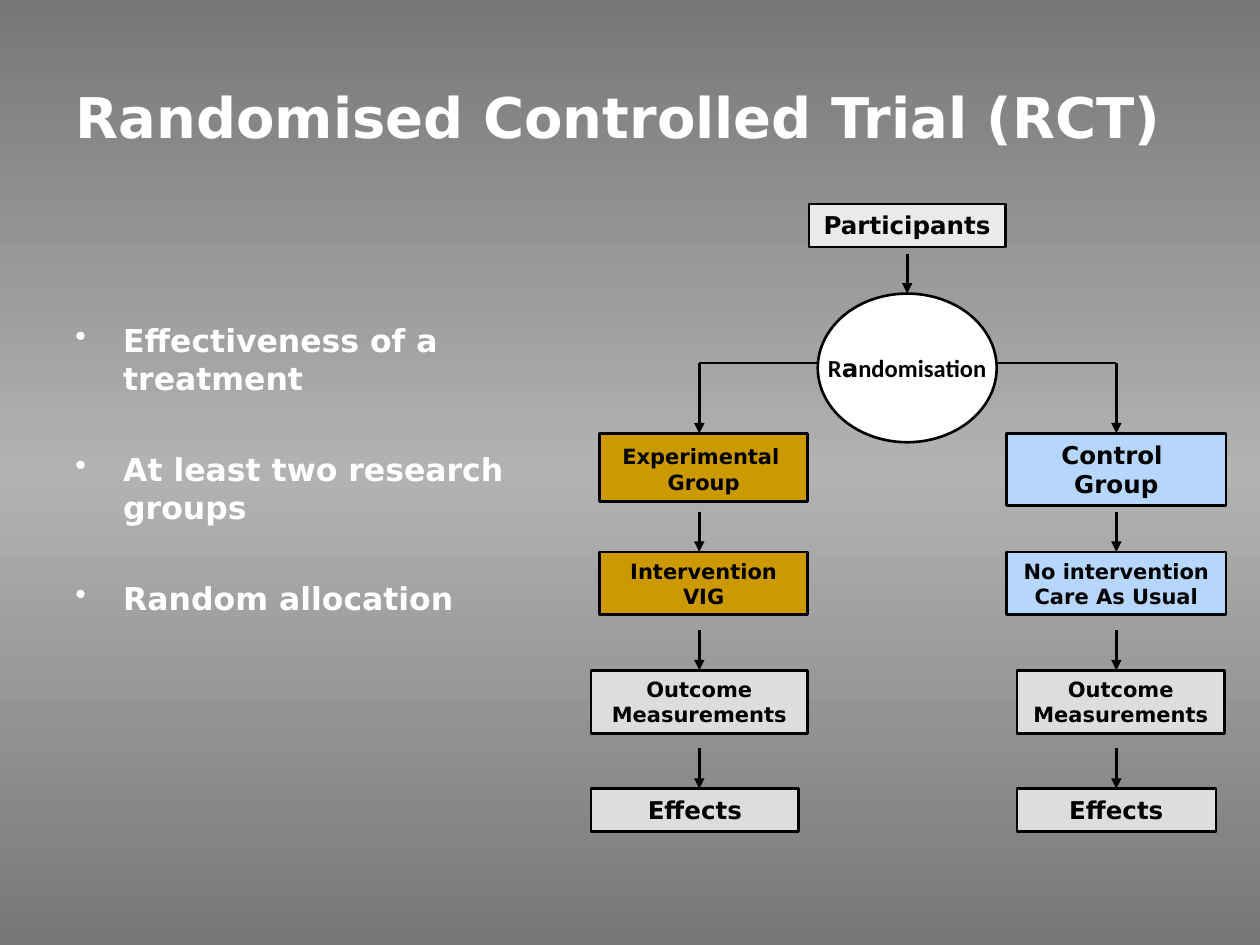
import dataclasses
from typing import Optional

import lxml.etree
import copy
import pptx
import pptx.dml.color
import pptx.enum.shapes
import pptx.enum.text
import pptx.oxml.ns
import pptx.util

Inches, Pt = pptx.util.Inches, pptx.util.Pt
SHAPE = pptx.enum.shapes.MSO_SHAPE
ALIGN = pptx.enum.text.PP_ALIGN
ANCHOR = pptx.enum.text.MSO_ANCHOR
qn = pptx.oxml.ns.qn

FONT = "DejaVu Sans"
BLACK, WHITE = "000000", "FFFFFF"
GOLD, BLUE, GREY = "CC9900", "B6D6FC", "DDDDDD"
LEFT_X, MID_X, RIGHT_X = 5.55, 7.2, 8.86  # arrow lanes
TOP, STEP = 3.44, 0.94  # rows of the two arms
ARROW = 0.32
BAR_Y = 2.88


@dataclasses.dataclass
class Box:
    text: str
    x: float
    w: float
    h: float
    fill: str
    size: int


def rgb(value: str) -> pptx.dml.color.RGBColor:
    return pptx.dml.color.RGBColor.from_string(value)


def style_run(r, size: int, color: str, font: str = FONT) -> None:
    r.font.size = Pt(size)
    r.font.name = font
    r.font.bold = True
    r.font.color.rgb = rgb(color)


def add_node(s, kind, x: float, y: float, w: float, h: float, fill: str):
    sp = s.shapes.add_shape(kind, Inches(x), Inches(y), Inches(w), Inches(h))
    sp.shadow.inherit = False
    sp.fill.solid()
    sp.fill.fore_color.rgb = rgb(fill)
    sp.line.color.rgb = rgb(BLACK)
    sp.line.width = Pt(1.5)
    return sp


def add_box(s, box: Box, y: float):
    sp = add_node(s, SHAPE.RECTANGLE, box.x, y, box.w, box.h, box.fill)
    tf = sp.text_frame
    tf.text = box.text
    tf.word_wrap = True
    tf.vertical_anchor = ANCHOR.TOP
    tf.auto_size = pptx.enum.text.MSO_AUTO_SIZE.SHAPE_TO_FIT_TEXT
    for p in tf.paragraphs:
        p.alignment = ALIGN.CENTER
        for r in p.runs:
            style_run(r, box.size, BLACK)
    return sp


def add_line(s, x1: float, y1: float, x2: float, y2: float, arrow: bool = True):
    line = s.shapes.add_connector(
        pptx.enum.shapes.MSO_CONNECTOR.STRAIGHT,
        Inches(x1), Inches(y1), Inches(x2), Inches(y2))
    line.line.color.rgb = rgb(BLACK)
    line.line.width = Pt(1.5)
    if arrow:
        lxml.etree.SubElement(line.line._get_or_add_ln(), qn("a:tailEnd"), type="triangle")
    lxml.etree.SubElement(line._element.spPr, qn("a:effectLst"))
    return line


def add_arrow_into(s, sp, x: float, y1: float, y2: float) -> None:
    """Vertical arrow, joined to the shape when the lane meets its top centre."""
    line = add_line(s, x, y1, x, y2)
    if abs(sp.left + sp.width / 2 - Inches(x)) < Inches(0.01):
        line.end_connect(sp, 0)


def add_text(s, x: float, y: float, w: float, h: float, text: str, size: int):
    tf = s.shapes.add_textbox(Inches(x), Inches(y), Inches(w), Inches(h)).text_frame
    tf.word_wrap = True
    tf.text = text
    for p in tf.paragraphs:
        for r in p.runs:
            style_run(r, size, WHITE)
    return tf


def add_bullet(p, space: Optional[float]) -> None:
    pPr = p._p.get_or_add_pPr()
    pPr.set("marL", str(Inches(0.38)))
    pPr.set("indent", str(-Inches(0.38)))
    color = lxml.etree.SubElement(pPr, qn("a:buClr"))
    lxml.etree.SubElement(color, qn("a:srgbClr"), val=WHITE)
    lxml.etree.SubElement(pPr, qn("a:buChar"), char="•")
    if space:
        p.space_before = Pt(space)


def set_background(s) -> None:
    fill = s.background.fill
    fill.gradient()
    fill.gradient_angle = 90
    stops = s.element.find(".//" + qn("a:gsLst"))
    stops.append(copy.deepcopy(stops[0]))
    colors = ((0, "777777"), (0.5, "B2B2B2"), (1, "777777"))
    for stop, (position, color) in zip(fill.gradient_stops, colors):
        stop.position = position
        stop.color.rgb = rgb(color)


def main() -> None:
    prs = pptx.Presentation()
    prs.slide_width, prs.slide_height = Inches(10), Inches(7.5)
    s = prs.slides.add_slide(prs.slide_layouts[6])
    set_background(s)

    # Title and bullets
    tf = add_text(s, 0.5, 0.3, 9, 1.25, "Randomised Controlled Trial (RCT)", 32)
    tf.vertical_anchor = ANCHOR.MIDDLE
    bullets = ("Effectiveness of a treatment", "At least two research groups",
               "Random allocation")
    tf = add_text(s, 0.5, 1.75, 3.63, 4.95, "\n".join(bullets), 18)
    tf.margin_top = Inches(0.8)
    for i, p in enumerate(tf.paragraphs):
        add_bullet(p, 30.5 if i else None)

    # Participants and the two arms of the trial
    add_box(s, Box("Participants", 6.42, 1.56, 0.34, "EAEAEA", 14), 1.62)
    arms = {
        LEFT_X: (
            Box("Experimental\nGroup", 4.76, 1.65, 0.54, GOLD, 12),
            Box("Intervention\nVIG", 4.76, 1.65, 0.5, GOLD, 12),
            Box("Outcome Measurements", 4.69, 1.72, 0.5, GREY, 12),
            Box("Effects", 4.69, 1.65, 0.34, GREY, 14),
        ),
        RIGHT_X: (
            Box("Control \nGroup", 7.99, 1.74, 0.57, BLUE, 14),
            Box("No intervention\nCare As Usual", 7.99, 1.74, 0.5, BLUE, 12),
            Box("Outcome Measurements", 8.07, 1.65, 0.5, GREY, 12),
            Box("Effects", 8.07, 1.58, 0.34, GREY, 14),
        ),
    }
    nodes = {x: [add_box(s, box, TOP + i * STEP) for i, box in enumerate(boxes)]
             for x, boxes in arms.items()}
    r = nodes[LEFT_X][0].text_frame.paragraphs[0].add_run()
    r.text = " "
    style_run(r, 14, BLACK, "Calibri")

    # Randomisation
    add_line(s, LEFT_X, BAR_Y, RIGHT_X, BAR_Y, arrow=False)
    sp = add_node(s, SHAPE.OVAL, 6.49, 2.33, 1.42, 1.18, WHITE)
    tf = sp.text_frame
    tf.word_wrap = False
    tf.vertical_anchor = ANCHOR.MIDDLE
    p = tf.paragraphs[0]
    p.alignment = ALIGN.CENTER
    for text, font in (("R", "Calibri"), ("a", FONT), ("ndomisation", "Calibri")):
        r = p.add_run()
        r.text = text
        style_run(r, 14, BLACK, font)
    add_arrow_into(s, sp, MID_X, 2.02, 2.33)

    # Arrows down each arm
    for x, shapes in nodes.items():
        for i, sp in enumerate(shapes):
            y = TOP + i * STEP
            add_arrow_into(s, sp, x, y - ARROW if i else BAR_Y, y)

    prs.save("out.pptx")


if __name__ == "__main__":
    main()
